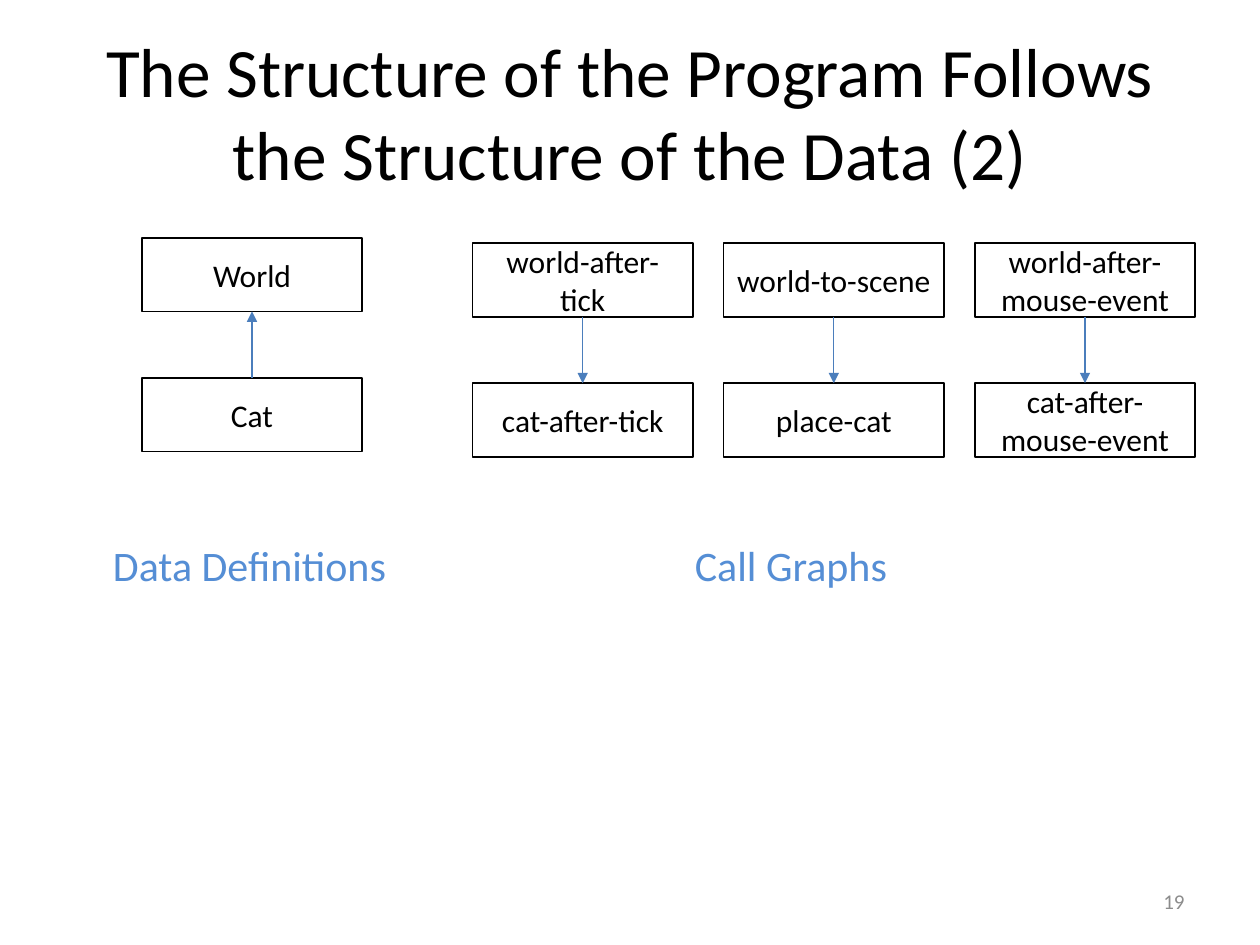
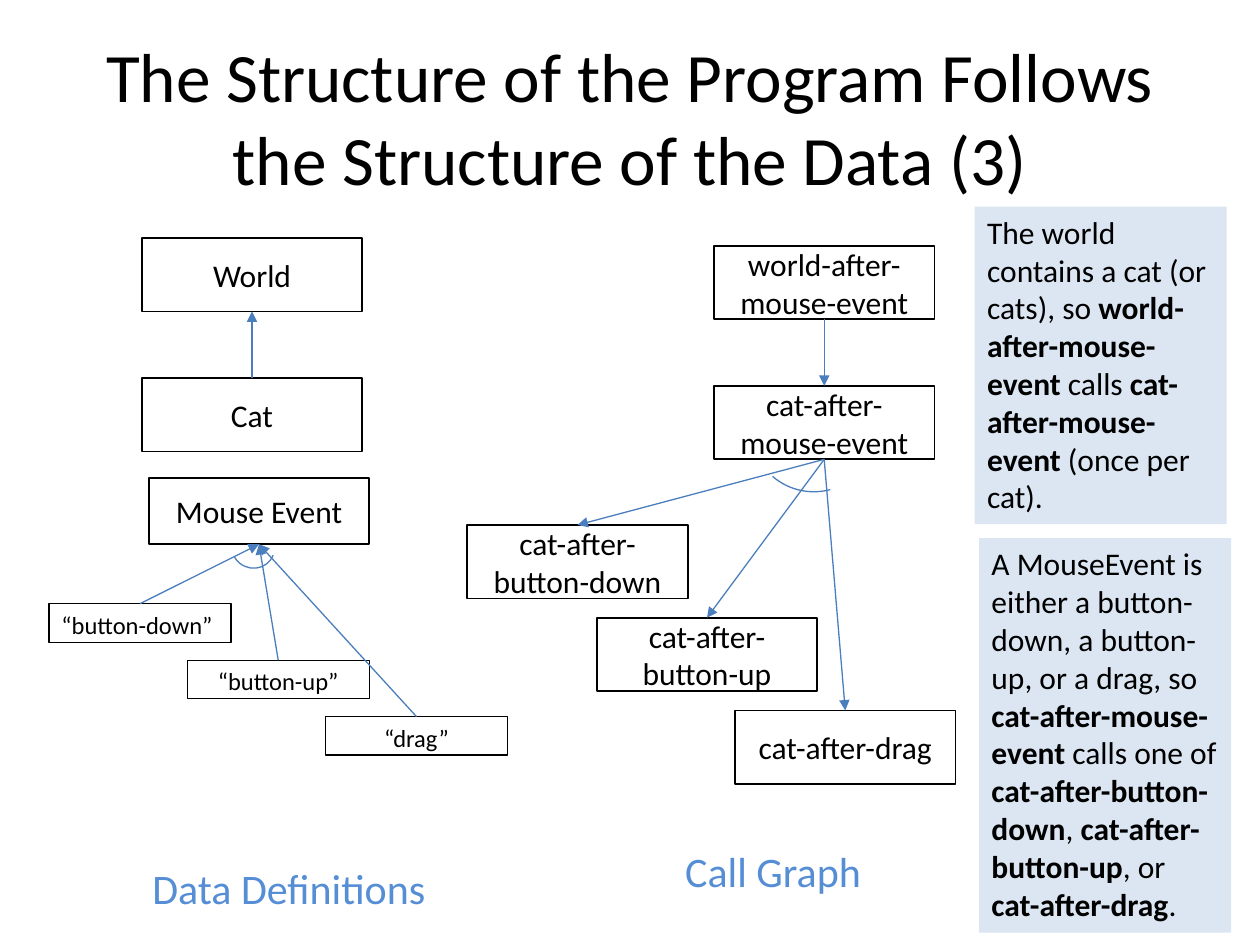
"""Two slides pairing data definitions with the call graphs that follow them."""
from dataclasses import dataclass

from lxml import etree
from pptx import Presentation
from pptx.dml.color import RGBColor
from pptx.enum import shapes, text
from pptx.oxml.ns import qn
from pptx.util import Pt

COLORS = {
    "ink": "000000",
    "arrow": "4B7EBC",
    "caption": "558ED5",
    "note": "DCE6F2",
    "number": "8C8C8C",
}
FONT = "Calibri"
TITLE = "The Structure of the Program Follows the Structure of the Data ({})"
BOX_W, BOX_H = 126, 42
ROW_STEP = 80
LABEL_W, LABEL_H = 104, 22
TOP, BOTTOM = 0, 2  # connection sites of a rectangle
LEFT, CENTER, RIGHT = text.PP_ALIGN.LEFT, text.PP_ALIGN.CENTER, text.PP_ALIGN.RIGHT


@dataclass
class Box:
    """An outlined box with text, placed in points."""
    words: str
    x: float
    y: float
    w: float = BOX_W
    h: float = BOX_H
    size: float = 18
    line: float = 1
    align: text.PP_ALIGN = CENTER
    anchor: text.MSO_ANCHOR = text.MSO_ANCHOR.MIDDLE


@dataclass
class Arc:
    """An arc with its rotation in degrees and its two adjustments."""
    x: float
    y: float
    w: float
    h: float
    turn: float
    start: float
    end: float


def rgb(name):
    """Return a named colour."""
    return RGBColor.from_string(COLORS[name])


def style(p, size, color="ink", align=LEFT):
    """Format a paragraph."""
    p.alignment = align
    p.font.name, p.font.size = FONT, Pt(size)
    p.font.color.rgb = rgb(color)


def add_title(s, part: int, top: float):
    """Fill and place the title placeholder."""
    sp = s.shapes.title
    sp.left, sp.top, sp.width, sp.height = Pt(36), Pt(top), Pt(648), Pt(90)
    tf = sp.text_frame
    tf.text = TITLE.format(part)
    tf.auto_size = text.MSO_AUTO_SIZE.NONE
    tf.vertical_anchor = text.MSO_ANCHOR.MIDDLE
    style(tf.paragraphs[0], 39.6, align=CENTER)


def add_shape(s, kind, x: float, y: float, w: float, h: float):
    """Add a preset shape without shadow or fill."""
    sp = s.shapes.add_shape(kind, Pt(x), Pt(y), Pt(w), Pt(h))
    sp.shadow.inherit = False
    sp.fill.background()
    return sp


def add_box(s, box: Box):
    """Draw an outlined box and return it."""
    sp = add_shape(s, shapes.MSO_SHAPE.RECTANGLE, box.x, box.y, box.w, box.h)
    sp.line.color.rgb, sp.line.width = rgb("ink"), Pt(box.line)
    tf = sp.text_frame
    tf.text = box.words
    tf.word_wrap = True
    tf.vertical_anchor = box.anchor
    style(tf.paragraphs[0], box.size, align=box.align)
    return sp


def add_arrow(s, start, start_site: int, end, end_site: int):
    """Connect two boxes with an arrow pointing at the second."""
    cx = s.shapes.add_connector(shapes.MSO_CONNECTOR.STRAIGHT, 0, 0, 0, 0)
    cx.begin_connect(start, start_site)
    cx.end_connect(end, end_site)
    cx.line.color.rgb, cx.line.width = rgb("arrow"), Pt(0.75)
    etree.SubElement(cx.line._get_or_add_ln(), qn("a:tailEnd"), type="triangle")
    etree.SubElement(cx._element.spPr, qn("a:effectLst"))


def add_data_pair(s):
    """Draw the Cat-is-part-of-World definition."""
    world = add_box(s, Box("World", 81, 136))
    cat = add_box(s, Box("Cat", 81, 136 + ROW_STEP))
    add_arrow(s, cat, TOP, world, BOTTOM)


def add_call_pair(s, caller: str, callee: str, x: float, y: float):
    """Draw a function calling another and return the lower box."""
    upper = add_box(s, Box(caller, x, y))
    lower = add_box(s, Box(callee, x, y + ROW_STEP))
    add_arrow(s, upper, BOTTOM, lower, TOP)
    return lower


def add_arc(s, arc: Arc):
    """Draw the arc that marks a choice between branches."""
    sp = add_shape(s, shapes.MSO_SHAPE.ARC, arc.x, arc.y, arc.w, arc.h)
    sp.adjustments[0], sp.adjustments[1] = arc.start, arc.end
    sp.rotation = arc.turn
    sp.line.color.rgb, sp.line.width = rgb("arrow"), Pt(0.75)


def add_caption(s, words: str, x: float, y: float, w: float):
    """Write the blue caption under a diagram."""
    tf = s.shapes.add_textbox(Pt(x), Pt(y), Pt(w), Pt(36)).text_frame
    tf.text = words
    tf.word_wrap = False
    style(tf.paragraphs[0], 24, "caption")


def add_number(s, number: int):
    """Write the slide number at the bottom right."""
    tf = s.shapes.add_textbox(Pt(516), Pt(500.5), Pt(168), Pt(28.75)).text_frame
    tf.text = str(number)
    tf.vertical_anchor = text.MSO_ANCHOR.MIDDLE
    style(tf.paragraphs[0], 12, "number", RIGHT)


def add_note(s, pieces: list[str], x: float, y: float, h: float):
    """Draw a tinted note whose every second piece is bold."""
    sp = add_shape(s, shapes.MSO_SHAPE.RECTANGLE, x, y, 144, h)
    sp.fill.solid()
    sp.fill.fore_color.rgb = rgb("note")
    sp.line.fill.background()
    tf = sp.text_frame
    tf.word_wrap = True
    tf.vertical_anchor = text.MSO_ANCHOR.TOP
    p = tf.paragraphs[0]
    style(p, 18)
    for i, piece in enumerate(pieces):
        r = p.add_run()
        r.text = piece
        r.font.bold = i % 2 == 1


def build_call_graphs(prs):
    """Build the slide with three small call graphs."""
    s = prs.slides.add_slide(prs.slide_layouts[5])
    add_title(s, 2, 18.75)
    add_number(s, 19)
    add_data_pair(s)
    calls = [
        ("world-after-tick", "cat-after-tick"),
        ("world-to-scene", "place-cat"),
        ("world-after-mouse-event", "cat-after-mouse-event"),
    ]
    for i, (caller, callee) in enumerate(calls):
        add_call_pair(s, caller, callee, 270 + 143.5 * i, 139)
    add_caption(s, "Data Definitions", 57.5, 304.5, 172)
    add_caption(s, "Call Graphs", 390, 304.5, 125)


def build_mouse_events(prs):
    """Build the slide where both diagrams branch on the mouse event."""
    s = prs.slides.add_slide(prs.slide_layouts[5])
    add_title(s, 3, 21.6)
    add_data_pair(s)
    handler = add_call_pair(
        s, "world-after-mouse-event", "cat-after-mouse-event", 408, 140.5)

    event = add_box(s, Box("Mouse Event", 85, 273, h=38))
    labels = [("“button-down”", LEFT), ("“button-up”", CENTER), ("“drag”", CENTER)]
    for i, (words, align) in enumerate(labels):
        label = add_box(s, Box(words, 28 + 79 * i, 345 + 32.25 * i, LABEL_W, LABEL_H,
                               14, 0.75, align, text.MSO_ANCHOR.TOP))
        add_arrow(s, label, TOP, event, BOTTOM)

    branches = [("cat-after-button-down", 267), ("cat-after-button-up", 341),
                ("cat-after-drag", 420)]
    for i, (words, x) in enumerate(branches):
        branch = add_box(s, Box(words, x, 300 + 53 * i))
        add_arrow(s, handler, BOTTOM, branch, TOP)

    add_caption(s, "Call Graph", 384.5, 479.5, 116)
    add_caption(s, "Data Definitions", 80, 489.5, 172)
    add_arc(s, Arc(132.5, 300, 24, 25, 127.6, 152.94, 13.78))
    add_arc(s, Arc(429, 209, 72, 72, 130.9, 182.37, 0))
    add_note(s, ["The world contains a cat (or cats), so ", "world-after-mouse-event",
                 " calls ", "cat-after-mouse-event", " (once per cat)."],
             557, 118, 181.5)
    add_note(s, ["A MouseEvent is either a button-down, a button-up, or a drag, so ",
                 "cat-after-mouse-event", " calls one of ", "cat-after-button-down",
                 ", ", "cat-after-button-up", ", or ", "cat-after-drag", "."],
             559.5, 307.5, 225.5)


prs = Presentation()
prs.slide_width, prs.slide_height = Pt(720), Pt(540)
build_call_graphs(prs)
build_mouse_events(prs)
prs.save("out.pptx")
